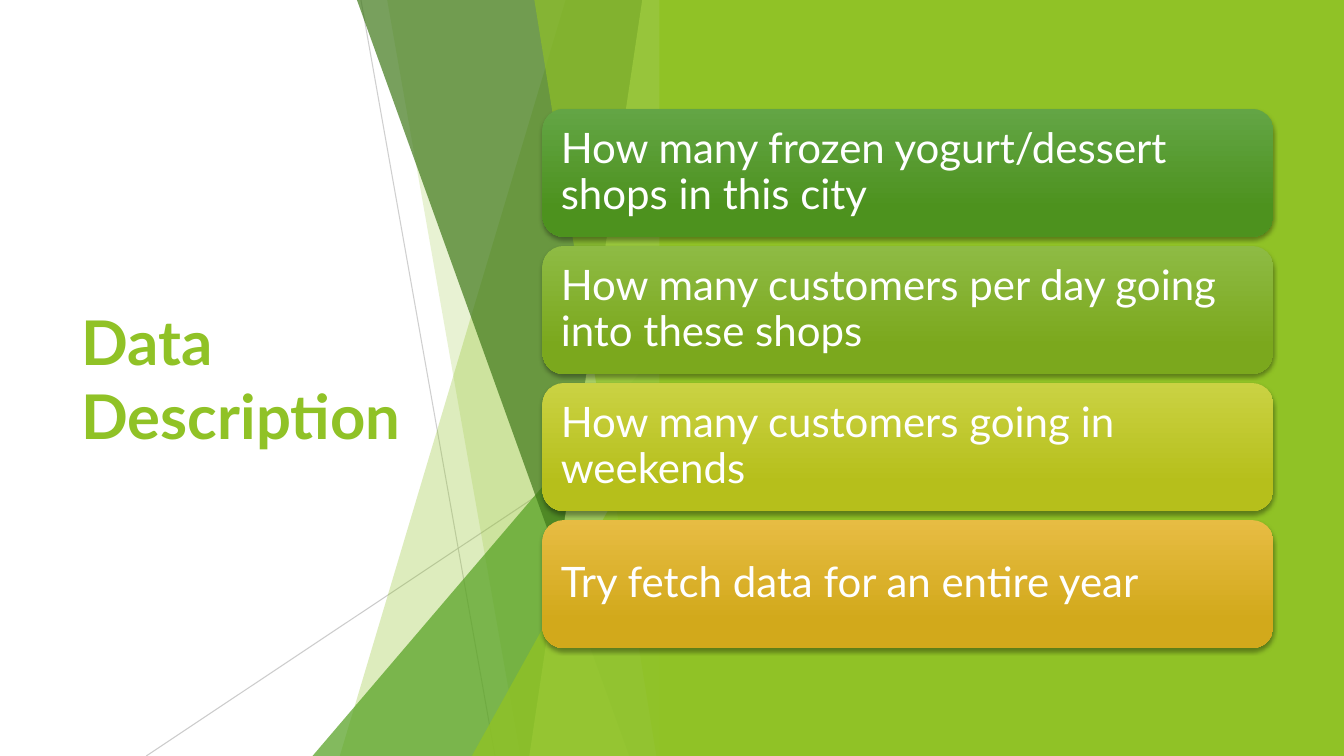
from dataclasses import dataclass

from lxml.etree import SubElement
from pptx import Presentation
from pptx.dml.color import RGBColor
from pptx.enum.shapes import MSO_CONNECTOR, MSO_SHAPE
from pptx.enum.text import MSO_ANCHOR, PP_ALIGN
from pptx.oxml.ns import qn
from pptx.util import Inches, Pt


@dataclass(frozen=True)
class Theme:
    """Colours, font and type sizes of the slide."""
    font: str = "Lato"
    title_size: int = 44
    card_size: int = 30
    white: str = "FFFFFF"
    lime: str = "90C226"
    pale_lime: str = "C0E474"
    green: str = "54A021"
    dark_green: str = "3F7819"
    hairline: str = "BFBFBF"
    shadow: str = "000000"
    card_gradients: tuple = (
        ("63A545", "4D921E"),
        ("8EBB44", "7BA81D"),
        ("CAD243", "B6BF1B"),
        ("E7BC43", "D2A91B"),
    )


THEME = Theme()
SLIDE_WIDTH, SLIDE_HEIGHT = 13.33, 7.5
FACET_RIGHT = 6.66
CARD_LEFT, CARD_TOP, CARD_WIDTH, CARD_HEIGHT = 5.38, 1.08, 7.25, 1.27
CARD_PITCH = 1.36
CARD_TEXTS = (
    "How many frozen yogurt/dessert shops in this city",
    "How many customers per day going into these shops",
    "How many customers going in weekends",
    "Try fetch data for an entire year",
)


def set_opacity(fill, percent):
    """Make a solid colour partly transparent."""
    color = fill._xPr.find(qn("a:solidFill"))[0]
    SubElement(color, qn("a:alpha"), val=str(percent * 1000))


def paint(shape, color, opacity=100):
    """Give a shape a flat fill with no outline or shadow."""
    shape.shadow.inherit = False
    shape.line.fill.background()
    shape.fill.solid()
    shape.fill.fore_color.rgb = RGBColor.from_string(color)
    if opacity < 100:
        set_opacity(shape.fill, opacity)


def write_text(shape, text, *, size, color, bold=False, inset=0.1, line_spacing=1.0):
    """Write one left-aligned, vertically centred paragraph in a shape."""
    frame = shape.text_frame
    frame.word_wrap = True
    frame.vertical_anchor = MSO_ANCHOR.MIDDLE
    frame.margin_left = frame.margin_right = Inches(inset)
    frame.margin_top = frame.margin_bottom = Inches(inset)
    paragraph = frame.paragraphs[0]
    paragraph.alignment = PP_ALIGN.LEFT
    paragraph.line_spacing = line_spacing
    run = paragraph.add_run()
    run.text = text
    run.font.name = THEME.font
    run.font.size = Pt(size)
    run.font.bold = bold
    run.font.color.rgb = RGBColor.from_string(color)


def add_hairline(slide, start, end, opacity):
    """Draw a thin translucent line between two points."""
    connector = slide.shapes.add_connector(
        MSO_CONNECTOR.STRAIGHT, *map(Inches, start + end))
    connector.line.width = Pt(0.75)
    connector.line.fill.solid()
    connector.line.fill.fore_color.rgb = RGBColor.from_string(THEME.hairline)
    set_opacity(connector.line.fill, opacity)
    SubElement(connector._element.spPr, qn("a:effectLst"))


def add_facet(slide, top_left, bottom_left, color, opacity):
    """Draw a full-height facet with a slanted left edge."""
    builder = slide.shapes.build_freeform(Inches(top_left), 0, scale=1.0)
    corners = ((FACET_RIGHT, 0), (FACET_RIGHT, SLIDE_HEIGHT), (bottom_left, SLIDE_HEIGHT))
    builder.add_line_segments([(Inches(x), Inches(y)) for x, y in corners])
    paint(builder.convert_to_shape(), color, opacity)


def add_corner(slide, left, top, color, opacity):
    """Draw a right triangle rising to the right from the slide bottom."""
    triangle = slide.shapes.add_shape(
        MSO_SHAPE.ISOSCELES_TRIANGLE, Inches(left), Inches(top),
        Inches(FACET_RIGHT - left), Inches(SLIDE_HEIGHT - top))
    triangle.adjustments[0] = 1
    paint(triangle, color, opacity)


def add_backdrop(slide):
    """Draw the lines, facets and green panel behind the content."""
    add_hairline(slide, (3.58, 0), (4.91, SLIDE_HEIGHT), 75)
    add_hairline(slide, (FACET_RIGHT, 4.03), (1.45, SLIDE_HEIGHT), 80)
    add_facet(slide, 5.61, 3.37, THEME.lime, 30)
    add_facet(slide, 3.84, 5.16, THEME.lime, 20)
    add_corner(slide, 3.1, 3.33, THEME.green, 72)
    add_facet(slide, 3.54, 6.24, THEME.dark_green, 70)
    add_facet(slide, 6.37, 5.25, THEME.pale_lime, 70)
    add_facet(slide, 5.3, 6.51, THEME.lime, 65)
    add_corner(slide, 4.68, 3.93, THEME.lime, 80)
    panel_left = 6.54
    panel = slide.shapes.add_shape(
        MSO_SHAPE.RECTANGLE, Inches(panel_left), 0,
        Inches(SLIDE_WIDTH - panel_left), Inches(SLIDE_HEIGHT))
    paint(panel, THEME.lime)


def add_drop_shadow(shape):
    """Give a shape a soft shadow straight below it."""
    shape.shadow.inherit = False
    effects = shape._element.spPr.find(qn("a:effectLst"))
    shadow = SubElement(
        effects, qn("a:outerShdw"), blurRad=str(Pt(3)), dist=str(Pt(2)),
        dir="5400000", rotWithShape="0")
    color = SubElement(shadow, qn("a:srgbClr"), val=THEME.shadow)
    SubElement(color, qn("a:alpha"), val="35000")


def add_card(slide, top, text, gradient):
    """Draw a rounded gradient card holding one statement."""
    card = slide.shapes.add_shape(
        MSO_SHAPE.ROUNDED_RECTANGLE, Inches(CARD_LEFT), Inches(top),
        Inches(CARD_WIDTH), Inches(CARD_HEIGHT))
    card.line.fill.background()
    card.fill.gradient()
    card.fill.gradient_angle = 270
    for stop, position, color in zip(card.fill.gradient_stops, (0, 0.78), gradient):
        stop.position = position
        stop.color.rgb = RGBColor.from_string(color)
    add_drop_shadow(card)
    write_text(card, text, size=THEME.card_size, color=THEME.white,
               inset=0.12, line_spacing=0.9)


def add_title(slide, text):
    """Place the slide title on the left."""
    title = slide.shapes.add_textbox(Inches(0.71), Inches(1.51), Inches(3.88), Inches(4.48))
    write_text(title, text, size=THEME.title_size, color=THEME.lime, bold=True)


def main():
    """Build and save the slide."""
    presentation = Presentation()
    presentation.slide_width = Inches(SLIDE_WIDTH)
    presentation.slide_height = Inches(SLIDE_HEIGHT)
    slide = presentation.slides.add_slide(presentation.slide_layouts[6])
    slide.background.fill.solid()
    slide.background.fill.fore_color.rgb = RGBColor.from_string(THEME.white)
    add_title(slide, "Data Description")
    add_backdrop(slide)
    for index, (text, gradient) in enumerate(zip(CARD_TEXTS, THEME.card_gradients)):
        add_card(slide, CARD_TOP + index * CARD_PITCH, text, gradient)
    presentation.save("out.pptx")


if __name__ == "__main__":
    main()
